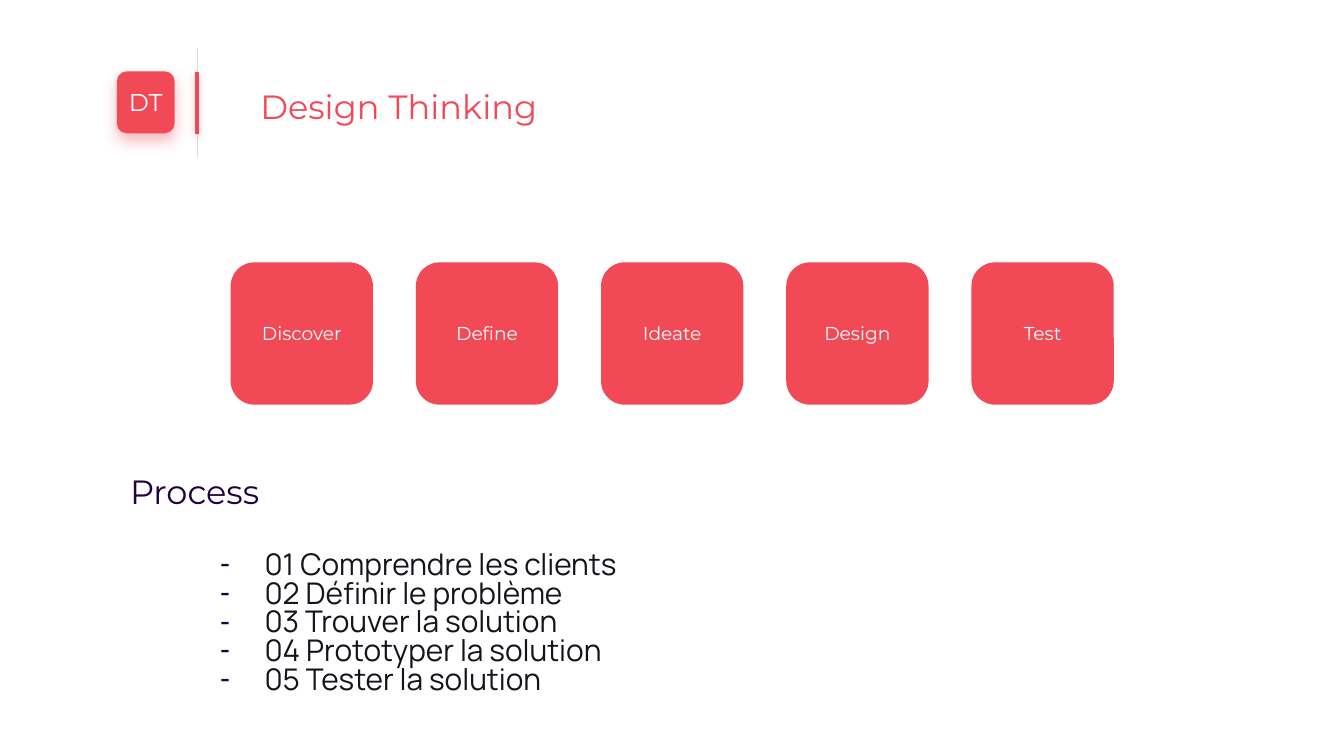
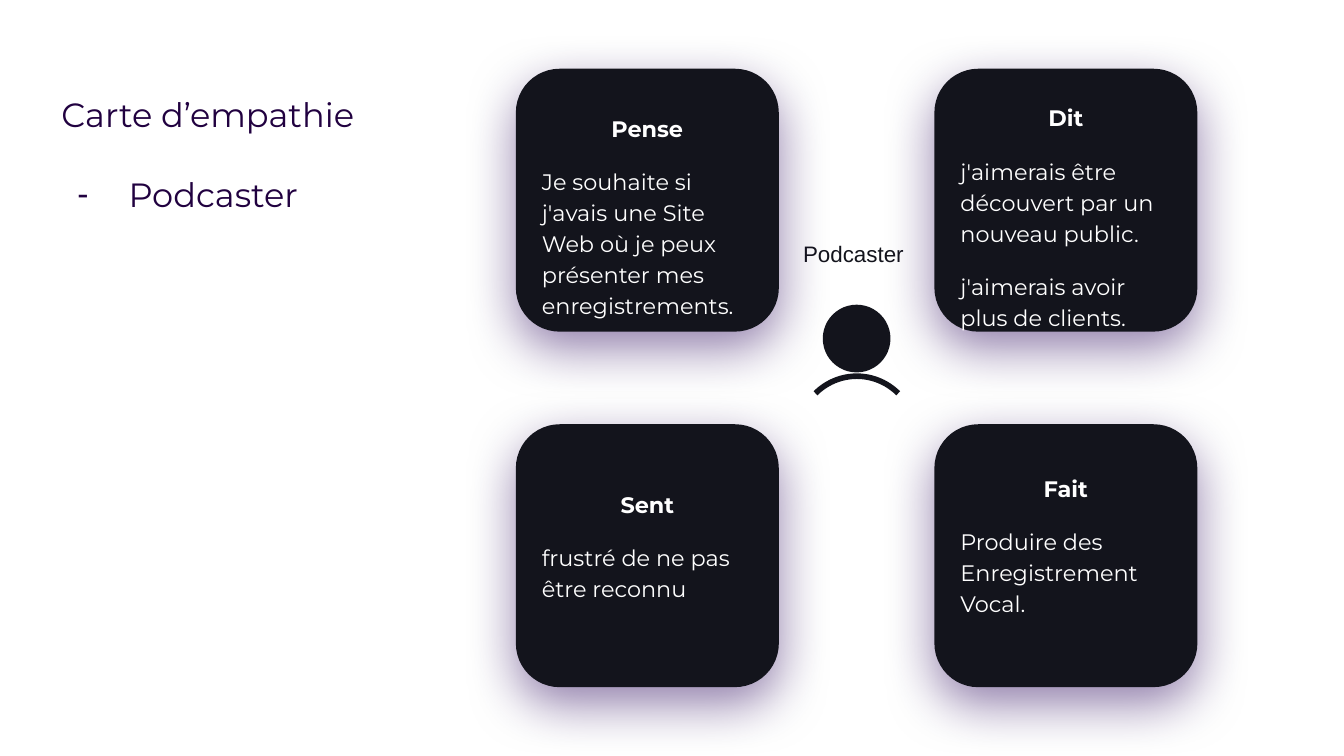
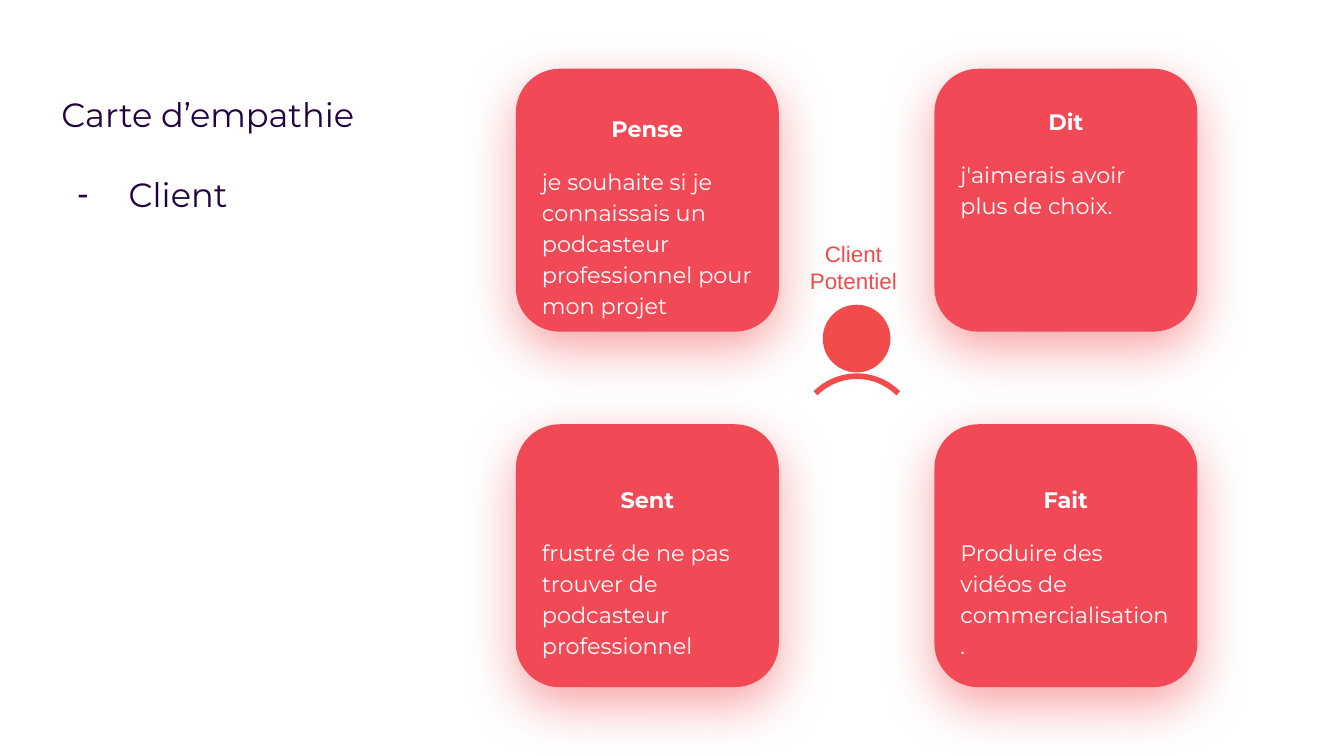
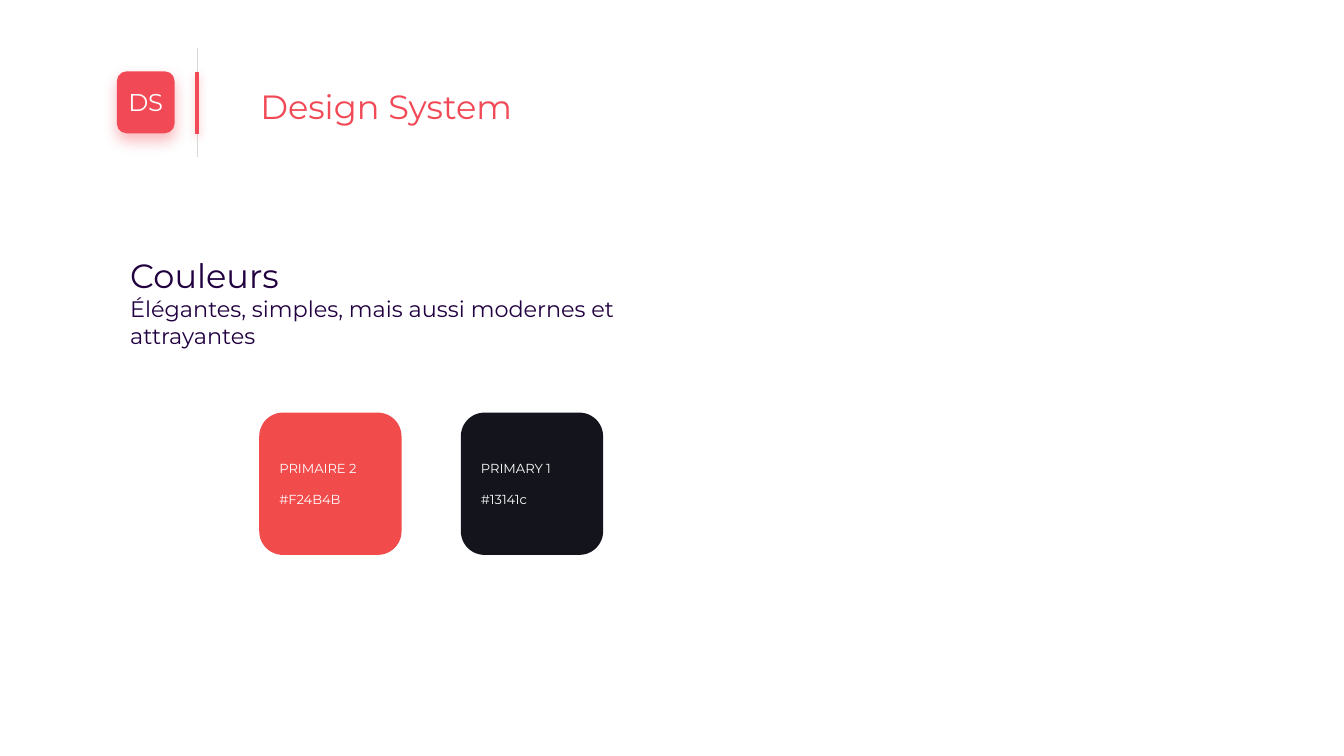
"""Build a four-slide design thinking deck: process, two empathy maps and a colour system."""
import dataclasses

import pptx
import pptx.dml.color
import pptx.enum.shapes
import pptx.enum.text
import pptx.oxml.ns
import pptx.util
from lxml import etree

Cm = pptx.util.Cm
Pt = pptx.util.Pt
Align = pptx.enum.text.PP_ALIGN
Anchor = pptx.enum.text.MSO_ANCHOR
Preset = pptx.enum.shapes.MSO_SHAPE
STRAIGHT = pptx.enum.shapes.MSO_CONNECTOR.STRAIGHT
qn = pptx.oxml.ns.qn
rgb = pptx.dml.color.RGBColor.from_string


@dataclasses.dataclass(frozen=True)
class Theme:
    red: str = "F24957"
    coral: str = "F24B4B"
    ink: str = "13141C"
    purple: str = "210140"
    glow: str = "260259"
    gray: str = "D9D9D9"
    white: str = "FFFFFF"
    font: str = "Montserrat"
    list_font: str = "Manrope"
    label_font: str = "Arial"
    title: int = 18
    list_item: int = 16
    badge: int = 13
    text: int = 12
    phase: int = 10
    swatch: int = 7


theme = Theme()


def write(paragraph, text, size, color, font=theme.font, align=Align.LEFT, bold=False,
          before=0, after=0, spacing=1.0, bullet=None):
    """Fill a paragraph; bullet is a pair of left margin and hanging indent in cm."""
    paragraph.text = text
    paragraph.alignment = align
    paragraph.space_before, paragraph.space_after = Pt(before), Pt(after)
    paragraph.line_spacing = spacing
    properties = paragraph._p.get_or_add_pPr()
    margin, hanging = bullet or (0, 0)
    properties.set("marL", str(Cm(margin)))
    properties.set("indent", str(-Cm(hanging)))
    if bullet:
        bullet_color = etree.SubElement(properties, qn("a:buClr"))
        etree.SubElement(bullet_color, qn("a:srgbClr"), val=theme.purple)
        etree.SubElement(properties, qn("a:buChar"), char="-")
    else:
        etree.SubElement(properties, qn("a:buNone"))
    paragraph.font.name = font
    paragraph.font.size = Pt(size)
    paragraph.font.bold = bold
    paragraph.font.color.rgb = rgb(color)


def finish(shape, fill=None, shadow=None):
    """Set a borderless fill and a downward shadow of colour, opacity, blur and distance."""
    if fill:
        shape.fill.solid()
        shape.fill.fore_color.rgb = rgb(fill)
        shape.line.fill.background()
    effects = etree.SubElement(shape._element.spPr, qn("a:effectLst"))
    if shadow:
        color, opacity, blur, distance = shadow
        outer = etree.SubElement(effects, qn("a:outerShdw"), blurRad=str(Pt(blur)),
                                 dist=str(Pt(distance)), dir="5400000",
                                 algn="bl", rotWithShape="0")
        shade = etree.SubElement(outer, qn("a:srgbClr"), val=color)
        etree.SubElement(shade, qn("a:alpha"), val=str(opacity * 1000))


presentation = pptx.Presentation()
presentation.slide_width = Cm(25.4)
presentation.slide_height = Cm(14.29)

outline = [
    ("Design Thinking", theme.red, (4.67, 1.37, 12.07, 2.06), (2.21, 8.66, 12.07, 5.56)),
    ("Carte d’empathie", theme.purple, (0.91, 1.52, 8.33, 1.4), (0.91, 3.03, 8.33, 1.4)),
    ("Carte d’empathie", theme.purple, (0.91, 1.52, 8.33, 1.4), (0.91, 3.03, 8.33, 1.4)),
    ("Design System", theme.red, (4.67, 1.37, 12.07, 2.06), (2.21, 4.57, 12.07, 3.07)),
]
slides = []
for title, color, *places in outline:
    slide = presentation.slides.add_slide(presentation.slide_layouts[1])
    for placeholder, place in zip(slide.placeholders, places):
        placeholder.left, placeholder.top, placeholder.width, placeholder.height = map(Cm, place)
        frame = placeholder.text_frame
        frame.auto_size = pptx.enum.text.MSO_AUTO_SIZE.NONE
        frame.vertical_anchor = Anchor.TOP
        frame.margin_left = frame.margin_right = Cm(0.25)
        frame.margin_top = frame.margin_bottom = Cm(0.25)
    write(slide.shapes.title.text_frame.paragraphs[0], title, theme.title, color)
    slides.append(slide)
process_slide, podcaster_slide, client_slide, system_slide = slides

for slide, initials in [(process_slide, "DT"), (system_slide, "DS")]:
    for top, bottom, color, width, shadow in [
        (0.91, 2.97, theme.gray, 0.75, None),
        (1.37, 2.54, theme.red, 2.25, (theme.red, 31, 4.5, 1.5)),
    ]:
        rule = slide.shapes.add_connector(STRAIGHT, Cm(3.73), Cm(top), Cm(3.73), Cm(bottom))
        rule.line.color.rgb = rgb(color)
        rule.line.width = Pt(width)
        finish(rule, shadow=shadow)
    badge = slide.shapes.add_shape(Preset.ROUNDED_RECTANGLE, Cm(2.21), Cm(1.35), Cm(1.09), Cm(1.17))
    finish(badge, theme.red, (theme.red, 38, 7.9, 3.8))
    frame = badge.text_frame
    frame.margin_left = frame.margin_right = frame.margin_top = frame.margin_bottom = 0
    frame.vertical_anchor = Anchor.MIDDLE
    write(frame.paragraphs[0], initials, theme.badge, theme.white, align=Align.CENTER)

for index, name in enumerate(["Discover", "Define", "Ideate", "Design", "Test"]):
    phase = process_slide.shapes.add_shape(
        Preset.ROUNDED_RECTANGLE, Cm(4.36 + 3.5 * index), Cm(4.96), Cm(2.69), Cm(2.69))
    finish(phase, theme.red)
    phase.text_frame.vertical_anchor = Anchor.MIDDLE
    write(phase.text_frame.paragraphs[0], name, theme.phase, theme.white, align=Align.CENTER)

process_frame = process_slide.placeholders[1].text_frame
write(process_frame.paragraphs[0], "Process", theme.title, theme.purple, after=22)
steps = ["Comprendre les clients", "Définir le problème", "Trouver la solution",
         "Prototyper la solution", "Tester la solution"]
for number, step in enumerate(steps, 1):
    write(process_frame.add_paragraph(), f"{number:02} {step}", theme.list_item, theme.ink,
          theme.list_font, spacing=0.8, bullet=(2.54, 0.84))

empathy_maps = [
    (podcaster_slide, "Podcaster", "Podcaster", 1.02, theme.ink, theme.ink, theme.glow, [
        ("Pense", 0.56, ["Je souhaite si j'avais une Site Web où je peux présenter mes enregistrements."]),
        ("Dit", 0.36, ["j'aimerais être découvert par un nouveau public.",
                       "j'aimerais avoir plus de clients."]),
        ("Sent", 0.95, ["frustré de ne pas être reconnu"]),
        ("Fait", 0.64, ["Produire des Enregistrement Vocal."]),
    ]),
    (client_slide, "Client", "Client Potentiel", 1.55, theme.red, theme.coral, theme.coral, [
        ("Pense", 0.56, ["je souhaite si je connaissais un podcasteur professionnel pour mon projet"]),
        ("Dit", 0.43, ["j'aimerais avoir plus de choix."]),
        ("Sent", 0.85, ["frustré de ne pas trouver de podcasteur professionnel"]),
        ("Fait", 0.85, ["Produire des vidéos de commercialisation."]),
    ]),
]
for slide, persona, caption, caption_height, card_color, figure_color, glow, cards in empathy_maps:
    write(slide.placeholders[1].text_frame.paragraphs[0], persona, theme.title, theme.purple,
          bullet=(1.27, 0.97))

    label = slide.shapes.add_textbox(Cm(14.91), Cm(4.29), Cm(2.44), Cm(caption_height))
    label.text_frame.word_wrap = True
    label.text_frame.margin_top = label.text_frame.margin_bottom = Cm(0.25)
    write(label.text_frame.paragraphs[0], caption, theme.text, figure_color, theme.label_font,
          Align.CENTER)

    for index, (heading, top_margin, sentences) in enumerate(cards):
        row, column = divmod(index, 2)
        card = slide.shapes.add_shape(
            Preset.ROUNDED_RECTANGLE, Cm(9.75 + 7.91 * column), Cm(1.3 + 6.72 * row),
            Cm(4.97), Cm(4.97))
        finish(card, card_color, (glow, 50, 28.1, 9))
        frame = card.text_frame
        frame.vertical_anchor = Anchor.TOP
        frame.margin_top, frame.margin_bottom = Cm(top_margin), 0
        write(frame.paragraphs[0], heading, theme.text, theme.white, align=Align.CENTER,
              bold=True, spacing=1.15)
        for sentence in sentences:
            write(frame.add_paragraph(), sentence, theme.text, theme.white, before=12, spacing=1.15)

    head = slide.shapes.add_shape(Preset.OVAL, Cm(15.55), Cm(5.76), Cm(1.28), Cm(1.28))
    finish(head, figure_color)
    shoulders = slide.shapes.add_shape(Preset.ARC, Cm(15.09), Cm(7.11), Cm(2.21), Cm(2.21))
    shoulders.rotation = 315
    shoulders.fill.background()
    shoulders.line.color.rgb = rgb(figure_color)
    shoulders.line.width = Pt(3)
    finish(shoulders)

system_frame = system_slide.placeholders[1].text_frame
write(system_frame.paragraphs[0], "Couleurs", theme.title, theme.purple)
write(system_frame.add_paragraph(), "Élégantes, simples, mais aussi modernes et attrayantes",
      theme.text, theme.purple)

swatches = [("PRIMAIRE 2", "#F24B4B", theme.coral), ("PRIMARY 1", "#13141c", theme.ink)]
for index, (name, code, color) in enumerate(swatches):
    swatch = system_slide.shapes.add_shape(
        Preset.ROUNDED_RECTANGLE, Cm(4.9 + 3.81 * index), Cm(7.8), Cm(2.69), Cm(2.69))
    finish(swatch, color)
    swatch.text_frame.vertical_anchor = Anchor.MIDDLE
    write(swatch.text_frame.paragraphs[0], name, theme.swatch, theme.white)
    write(swatch.text_frame.add_paragraph(), code, theme.swatch, theme.white, before=8)

presentation.save("out.pptx")
